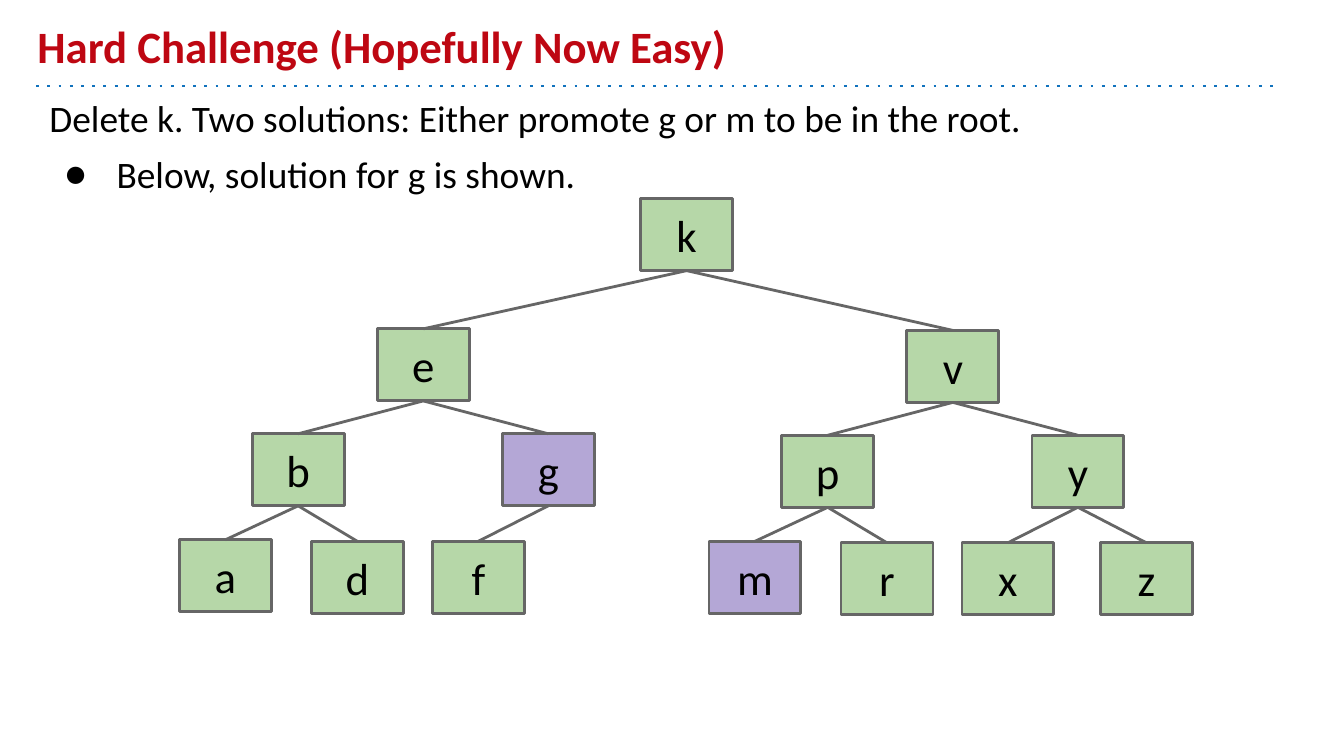
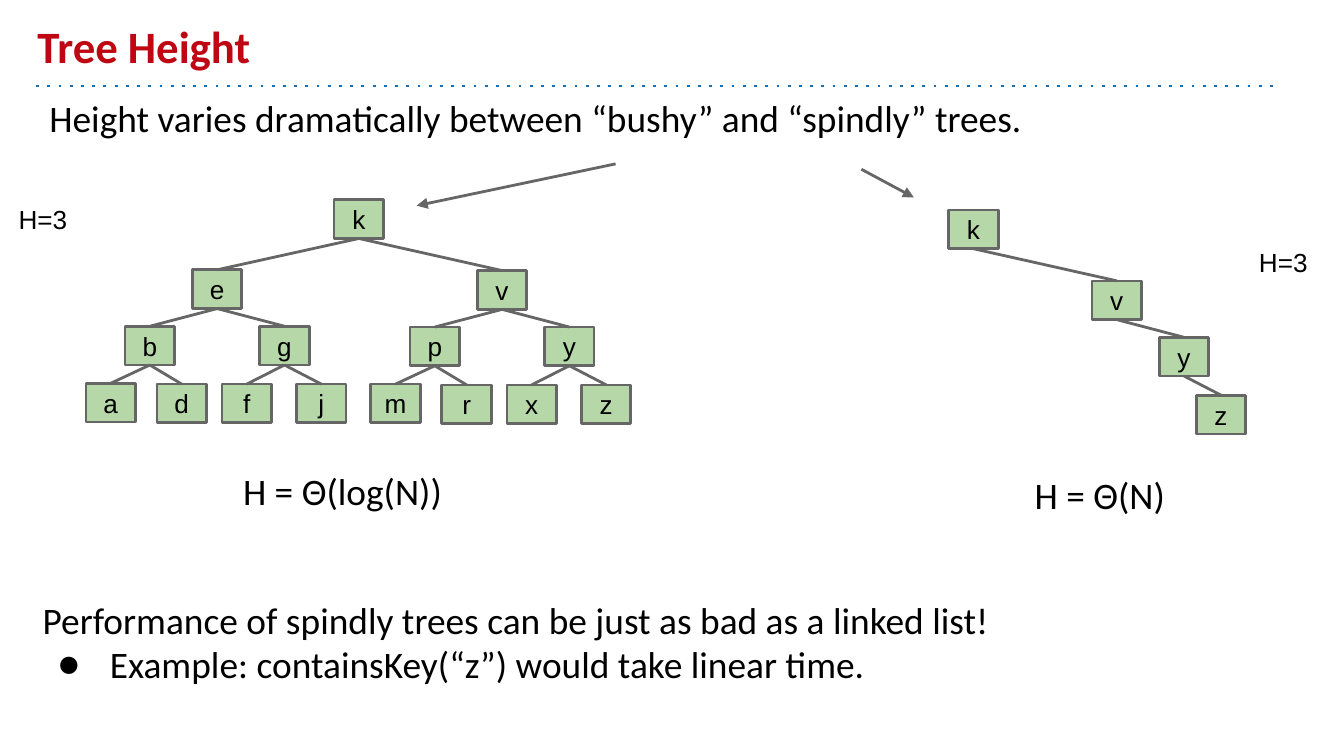
import pptx
import pptx.util
import pptx.dml.color
import pptx.enum.shapes
import pptx.enum.text
import pptx.oxml.ns
import lxml.etree

Pt = pptx.util.Pt
ALIGN = pptx.enum.text.PP_ALIGN
ANCHOR = pptx.enum.text.MSO_ANCHOR

RED, BLUE, GRAY, BLACK = "BE0712", "1072BD", "666666", "000000"
GREEN, PURPLE = "B6D7A8", "B4A7D6"
INSET = 7.2
TITLE = {"name": "Calibri", "size": Pt(24), "bold": True}
BODY = {"name": "Calibri", "size": Pt(20)}
LABEL = {"name": "Arial", "size": Pt(14)}
NODE = {"name": "Calibri", "size": Pt(24)}

NODE_SIZE = (49.3, 38.6)
SUBTREE = [(0, 0), (-67, 56.2), (67, 56.2),
           (-106, 113), (-35.3, 113.8), (29.5, 113.8), (103.7, 113.8)]
LEFT_ROOT, RIGHT_ROOT = (-141.1, 69.8), (142.6, 70.6)
SMALL = 0.538


def color(value):
    return pptx.dml.color.RGBColor.from_string(value)


def add_element(parent, tag, **values):
    return lxml.etree.SubElement(parent, pptx.oxml.ns.qn(tag), values)


def write(frame, paragraphs, font, ink=BLACK, anchor=ANCHOR.TOP, align=ALIGN.LEFT, before=0):
    settings = {"word_wrap": True, "vertical_anchor": anchor}
    for side in ("left", "right", "top", "bottom"):
        settings["margin_" + side] = Pt(INSET)
    for name, value in settings.items():
        setattr(frame, name, value)
    for index, (text, bulleted) in enumerate(paragraphs):
        para = frame.add_paragraph() if index else frame.paragraphs[0]
        para.alignment = align
        para.space_before = Pt(before)
        span = para.add_run()
        span.text = text
        span.font.color.rgb = color(ink)
        for name, value in font.items():
            setattr(span.font, name, value)
        if bulleted:
            add_bullet(para)


def add_bullet(para):
    props = para._p.get_or_add_pPr()
    props.set("marL", str(Pt(36)))
    props.set("indent", str(-Pt(28)))
    add_element(add_element(props, "a:buClr"), "a:srgbClr", val=BLACK)
    add_element(props, "a:buFont", typeface="Calibri")
    add_element(props, "a:buChar", char="●")


def add_text(page, box, paragraphs, font, **options):
    shape = page.shapes.add_textbox(*map(Pt, box))
    write(shape.text_frame, paragraphs, font, **options)


def add_line(page, start, end, ink=GRAY, dash=None, arrow=False):
    line = page.shapes.add_connector(
        pptx.enum.shapes.MSO_CONNECTOR.STRAIGHT, *map(Pt, start + end))
    line.line.color.rgb = color(ink)
    line.line.width = Pt(1.5)
    props = line._element.spPr
    outline = props.find(pptx.oxml.ns.qn("a:ln"))
    if dash:
        add_element(outline, "a:prstDash", val=dash)
    if arrow:
        add_element(outline, "a:tailEnd", type="triangle")
    add_element(props, "a:effectLst")
    return line


def add_node(page, box, letter, font, fill):
    node = page.shapes.add_shape(pptx.enum.shapes.MSO_SHAPE.RECTANGLE, *map(Pt, box))
    node.shadow.inherit = False
    node.fill.solid()
    node.fill.fore_color.rgb = color(fill)
    node.line.color.rgb = color(GRAY)
    node.line.width = Pt(1.5)
    write(node.text_frame, [(letter, False)], font,
          anchor=ANCHOR.MIDDLE, align=ALIGN.CENTER)
    return node


def add_edge(page, parent, child):
    edge = add_line(page, (0, 0), (0, 0))
    edge.begin_connect(parent, 2)
    edge.end_connect(child, 0)


def add_tree(page, left, top, branches, scale, font, marked=""):
    width, height = (scale * side for side in NODE_SIZE)

    def place(letter, across, down):
        box = (left + scale * across, top + scale * down, width, height)
        return add_node(page, box, letter, font, PURPLE if letter in marked else GREEN)

    root = place("k", 0, 0)
    for (across, down), letters in branches:
        nodes = {}
        for index, (letter, (dx, dy)) in enumerate(zip(letters, SUBTREE)):
            if letter != " ":
                nodes[index] = place(letter, across + dx, down + dy)
                parent = nodes[(index - 1) // 2] if index else root
                add_edge(page, parent, nodes[index])


def add_page(deck, title):
    page = deck.slides.add_slide(deck.slide_layouts[6])
    add_line(page, (19.4, 46.1), (684, 46.1), BLUE, dash="dot")
    add_text(page, (13, 7.2, 648, 38.9), [(title, False)], TITLE,
             ink=RED, anchor=ANCHOR.BOTTOM)
    return page


def add_deletion_page(deck):
    page = add_page(deck, "Hard Challenge (Hopefully Now Easy)")
    add_text(page, (19.4, 43.9, 664.6, 326.9), [
        ("Delete k. Two solutions: Either promote g or m to be in the root.", False),
        ("Below, solution for g is shown.", True)], BODY, before=6)
    add_tree(page, 343.2, 106.4, [(LEFT_ROOT, "ebgadf"), (RIGHT_ROOT, "vpymrxz")],
             1, NODE, marked="gm")


def add_height_page(deck):
    page = add_page(deck, "Tree Height")
    for box, text in [
            ((19.4, 43.9, 664.6, 53.3),
             "Height varies dramatically between “bushy” and “spindly” trees."),
            ((123.1, 243.4, 144.7, 53.3), "H = Θ(log(N))"),
            ((547.2, 245.5, 102.2, 53.3), "H = Θ(N)")]:
        add_text(page, box, [(text, False)], BODY, before=6)
    add_tree(page, 179, 107, [(LEFT_ROOT, "ebgadfj"), (RIGHT_ROOT, "vpymrxz")],
             SMALL, LABEL)
    add_tree(page, 508.3, 112.5, [(RIGHT_ROOT, "v y   z")], SMALL, LABEL)
    add_line(page, (329.8, 87.8), (223.2, 110.2), arrow=True)
    add_line(page, (461.5, 90.7), (489.6, 105.8), arrow=True)
    for left, top in [(2.9, 101.5), (667.4, 124.6)]:
        add_text(page, (left, top, 52.5, 23.8), [("H=3", False)], LABEL)
    add_text(page, (15.8, 312.5, 679, 38.9), [
        ("Performance of spindly trees can be just as bad as a linked list!", False),
        ("Example: containsKey(“z”) would take linear time.", True)], BODY)


deck = pptx.Presentation()
deck.slide_width, deck.slide_height = Pt(720), Pt(405)
add_deletion_page(deck)
add_height_page(deck)
deck.save("out.pptx")
